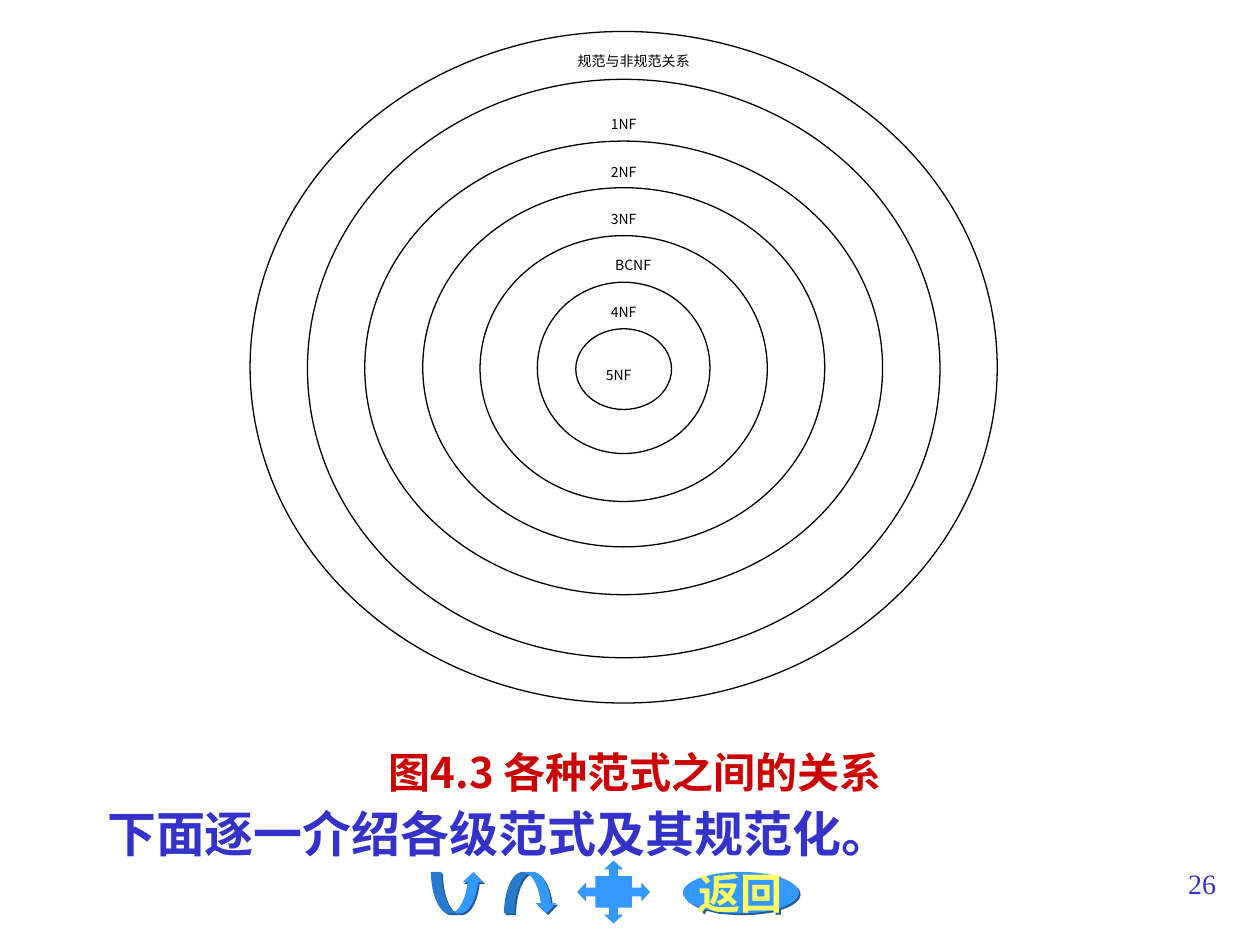
import pptx
import pptx.util
import pptx.dml.color
import pptx.enum.shapes
import pptx.enum.text
import pptx.oxml.ns
from lxml import etree

RGBColor = pptx.dml.color.RGBColor
BLACK = RGBColor(0x00, 0x00, 0x00)
WHITE = RGBColor(0xFF, 0xFF, 0xFF)
RED = RGBColor(0xCC, 0x00, 0x00)
INDIGO = RGBColor(0x33, 0x33, 0xCC)
BLUE = RGBColor(0x33, 0x99, 0xFF)
DARK_BLUE = RGBColor(0x1E, 0x5B, 0x98)
YELLOW = RGBColor(0xFF, 0xFF, 0x66)
SANS, SERIF = "Noto Sans CJK SC", "Times New Roman"
PRESET = pptx.enum.shapes.MSO_SHAPE
ALIGN = pptx.enum.text.PP_ALIGN
qn = pptx.oxml.ns.qn

presentation = pptx.Presentation()
presentation.slide_width = pptx.util.Inches(10)
presentation.slide_height = pptx.util.Inches(7.5)
CELL = presentation.slide_width / 100  # grid of 100 columns and 75 rows


def grid(column, row, columns, rows):
    """Turn grid cells into left, top, width and height."""
    return [pptx.util.Emu(round(cells * CELL)) for cells in (column, row, columns, rows)]


def write(paragraph, text, size, color, name=SANS, paragraph_format=None, **font_format):
    """Fill a paragraph with one formatted run."""
    for attribute, value in (paragraph_format or {}).items():
        setattr(paragraph, attribute, value)
    run = paragraph.add_run()
    run.text = text
    font_format.update(size=pptx.util.Pt(size), name=name)
    for attribute, value in font_format.items():
        setattr(run.font, attribute, value)
    run.font.color.rgb = color
    etree.SubElement(run.font._element, qn("a:ea"), typeface=SANS)


slide = presentation.slides.add_slide(presentation.slide_layouts[1])
title = slide.shapes.title
title._element.getparent().remove(title._element)

# Navigation buttons: preset, place, shadow
buttons = [
    (PRESET.CURVED_UP_ARROW, (34.2, 69.2, 4.2, 3.3), True),
    (PRESET.CURVED_DOWN_ARROW, (40, 69.2, 4.2, 3.3), True),
    (PRESET.QUAD_ARROW_CALLOUT, (45.8, 68.3, 5.8, 5), False),
    (PRESET.OVAL, (54.2, 69.2, 9.2, 3.3), True),
]
for preset, place, has_shadow in buttons:
    button = slide.shapes.add_shape(preset, *grid(*place))
    button.fill.solid()
    button.fill.fore_color.rgb = BLUE
    button.line.fill.background()
    button.shadow.inherit = False
    if preset == PRESET.QUAD_ARROW_CALLOUT:
        for index, share in enumerate((0.14, 0.15, 0.14, 0.5)):
            button.adjustments[index] = share
    if has_shadow:
        effects = button._element.spPr.find(qn("a:effectLst"))
        shadow = etree.SubElement(effects, qn("a:outerShdw"), dist=str(pptx.util.Pt(1.4)),
                                  dir=str(45 * 60000), algn="ctr", rotWithShape="0")
        etree.SubElement(shadow, qn("a:srgbClr"), val=str(DARK_BLUE))
    if preset == PRESET.OVAL:
        button.text_frame.word_wrap = False
        write(button.text_frame.paragraphs[0], "返回", 24, YELLOW, SERIF,
              {"alignment": ALIGN.CENTER}, bold=True)

# Caption and lead-in
body = slide.placeholders[1]
body.left, body.top, body.width, body.height = grid(7.5, 59.2, 85.8, 10)
body.text_frame.auto_size = pptx.enum.text.MSO_AUTO_SIZE.NONE
lines = [
    ("图4.3 各种范式之间的关系", 24, RED, ALIGN.CENTER, 0),
    ("下面逐一介绍各级范式及其规范化。", 28, INDIGO, ALIGN.LEFT, 7),
]
for number, (text, size, color, alignment, before) in enumerate(lines):
    frame = body.text_frame
    paragraph = frame.add_paragraph() if number else frame.paragraphs[0]
    properties = paragraph._element.get_or_add_pPr()
    properties.set("marL", str(pptx.util.Inches(0.38)))
    properties.set("indent", str(pptx.util.Inches(-0.38)))
    etree.SubElement(properties, qn("a:buNone"))
    write(paragraph, text, size, color, paragraph_format={
        "alignment": alignment, "line_spacing": 0.9,
        "space_before": pptx.util.Pt(before)}, bold=True)

# Nested normal forms, outermost first: width, top, height
CENTER = 49.5
rings = [(59.3, 2.5, 53.3), (50.2, 6.3, 45.9), (41.1, 11.2, 36), (31.9, 14.9, 28.5),
         (22.8, 18.7, 21.1), (13.7, 22.4, 13.6), (7.6, 26.1, 6.4)]
for width, top, height in rings:
    ring = slide.shapes.add_shape(PRESET.OVAL, *grid(CENTER - width / 2, top, width, height))
    ring.shadow.inherit = False
    ring.fill.solid()
    ring.fill.fore_color.rgb = WHITE
    ring.line.color.rgb = BLACK
    ring.line.width = pptx.util.Pt(0.75)

# Ring labels, centred in boxes without side margins: text, left, top, width
labels = [("规范与非规范关系", 42.7, 3.7, 15.2), ("1NF", 47.2, 8.7, 4.6),
          ("2NF", 47.2, 12.5, 4.6), ("3NF", 47.2, 16.2, 4.6),
          ("BCNF", 47.2, 19.9, 6.1), ("4NF", 47.2, 23.6, 4.6), ("5NF", 47.2, 28.6, 3.8)]
for text, left, top, width in labels:
    label = slide.shapes.add_textbox(*grid(left, top, width, 1.2))
    for attribute, value in {"word_wrap": False, "margin_left": 0, "margin_right": 0}.items():
        setattr(label.text_frame, attribute, value)
    write(label.text_frame.paragraphs[0], text, 8, BLACK,
          paragraph_format={"alignment": ALIGN.CENTER})

# Page number
page_number = slide.shapes.add_textbox(*grid(76.7, 68.3, 20.8, 5))
page_number.text_frame.word_wrap = True
write(page_number.text_frame.paragraphs[0], "26", 16, INDIGO, SERIF,
      {"alignment": ALIGN.RIGHT})

presentation.save("out.pptx")
